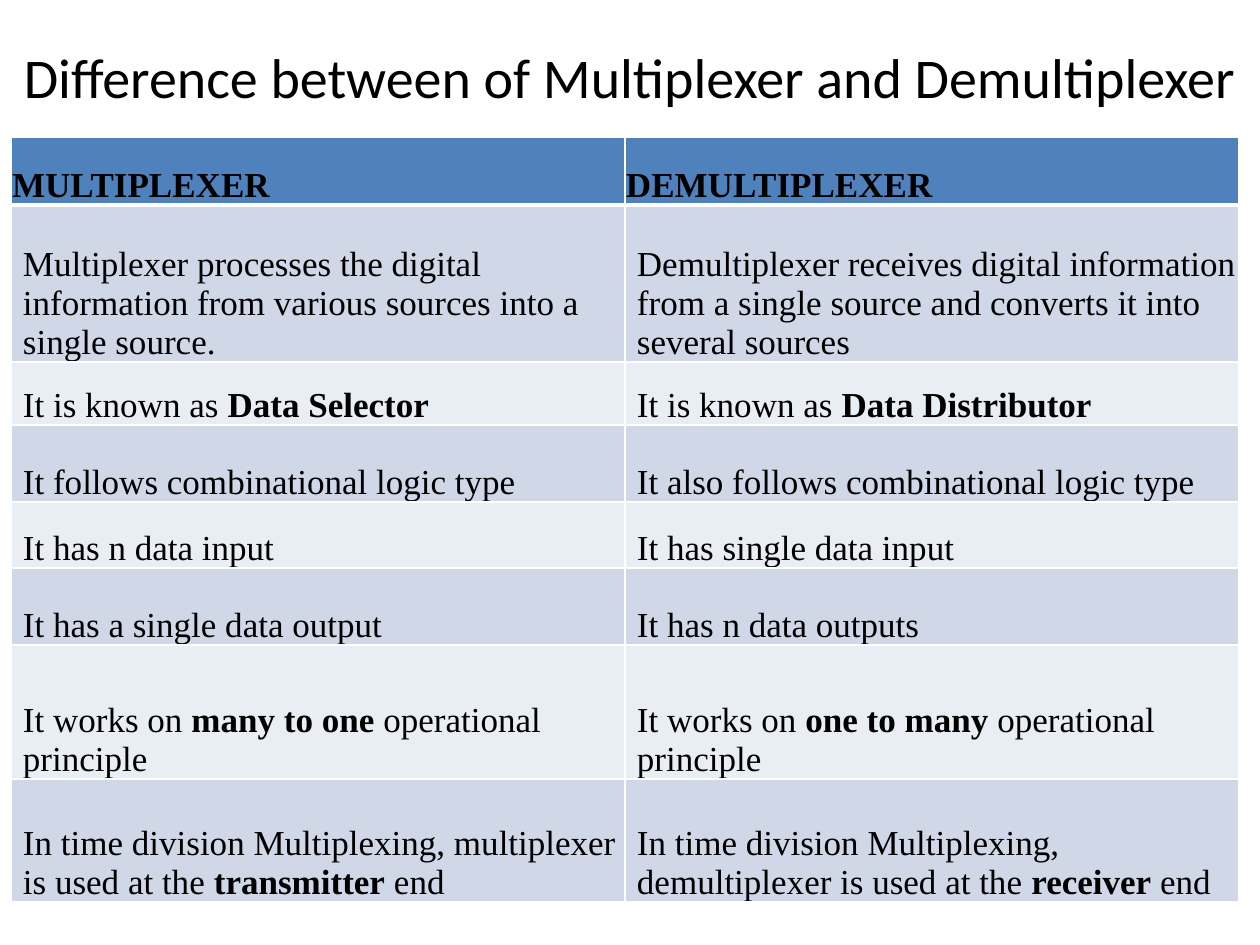
from typing import NamedTuple

from lxml.etree import SubElement
from pptx import Presentation
from pptx.dml.color import RGBColor
from pptx.enum.text import MSO_ANCHOR as Anchor, PP_ALIGN as Align
from pptx.oxml.ns import qn
from pptx.util import Emu, Pt

PIXELS_PER_INCH = 126
BLACK, WHITE = "000000", "FFFFFF"
HEADER_FILL = "4F81BD"
BAND_FILLS = ("E9EDF4", "D0D8E8")
COLUMN_WIDTH = 614


class ComparisonRow(NamedTuple):
    """One table row; double asterisks enclose bold words."""
    height: int
    multiplexer: str
    demultiplexer: str


ROWS = [
    ComparisonRow(68, "**MULTIPLEXER**", "**DEMULTIPLEXER**"),
    ComparisonRow(157, "Multiplexer processes the digital information from various sources into a single source.",
                  "Demultiplexer receives digital information from a single source and converts it into several sources"),
    ComparisonRow(63, "It is known as **Data Selector**", "It is known as **Data Distributor**"),
    ComparisonRow(77, "It follows combinational logic type", "It also follows combinational logic type"),
    ComparisonRow(66, "It has n data input", "It has single data input"),
    ComparisonRow(77, "It has a single data output", "It has n data outputs"),
    ComparisonRow(134, "It works on **many to one **operational principle",
                  "It works on **one to many **operational principle"),
    ComparisonRow(123, "In time division Multiplexing, multiplexer is used at the **transmitter** end",
                  "In time division Multiplexing, demultiplexer is used at the **receiver** end"),
]


def px(length: int) -> Emu:
    """Turn pixels into EMU."""
    return Emu(round(length * 914400 / PIXELS_PER_INCH))


def color(value: str) -> RGBColor:
    """Turn a hex string into a colour."""
    return RGBColor.from_string(value)


def write_text(paragraph, text: str, *, font: str, size: int, align=Align.LEFT) -> None:
    """Write text as runs, with bold between double asterisks."""
    paragraph.alignment = align
    for index, part in enumerate(text.split("**")):
        if part:
            run = paragraph.add_run()
            run.text = part
            run.font.name = font
            run.font.size = Pt(size)
            run.font.bold = index % 2 == 1
            run.font.color.rgb = color(BLACK)


def add_border(cell, side: str, width: int) -> None:
    """Add a white border to one side of a cell."""
    line = SubElement(cell._tc.get_or_add_tcPr(), qn(f"a:ln{side}"), w=str(Pt(width)))
    fill = SubElement(line, qn("a:solidFill"))
    SubElement(fill, qn("a:srgbClr"), val=WHITE)


def fill_cell(cell, text: str, row_index: int) -> None:
    """Format one cell for its row and write its text."""
    is_header = row_index == 0
    for side in "LRTB":
        under_header = (row_index, side) in ((0, "B"), (1, "T"))
        add_border(cell, side, 3 if under_header else 1)
    cell.fill.solid()
    cell.fill.fore_color.rgb = color(HEADER_FILL if is_header else BAND_FILLS[row_index % 2])
    cell.margin_left = px(1 if is_header else 12)
    cell.margin_top = cell.margin_right = px(1)
    cell.margin_bottom = 0
    cell.vertical_anchor = Anchor.BOTTOM
    write_text(cell.text_frame.paragraphs[0], text, font="Times New Roman", size=20)


def add_title(slide, text: str) -> None:
    """Add the centred title across the slide."""
    frame = slide.shapes.add_textbox(0, px(42), px(1260), px(68)).text_frame
    frame.word_wrap = True
    frame.margin_left = frame.margin_top = frame.margin_right = frame.margin_bottom = 0
    write_text(frame.paragraphs[0], text, font="Calibri", size=32, align=Align.CENTER)


def add_comparison(slide, rows: list[ComparisonRow]) -> None:
    """Add the two-column comparison table."""
    height = sum(row.height for row in rows)
    table = slide.shapes.add_table(len(rows), 2, px(11), px(137), px(2 * COLUMN_WIDTH), px(height)).table
    for column in table.columns:
        column.width = px(COLUMN_WIDTH)
    for row_index, row in enumerate(rows):
        table.rows[row_index].height = px(row.height)
        for column_index, text in enumerate((row.multiplexer, row.demultiplexer)):
            fill_cell(table.cell(row_index, column_index), text, row_index)


def main() -> None:
    """Build and save the slide."""
    presentation = Presentation()
    presentation.slide_width, presentation.slide_height = px(1260), px(945)
    slide = presentation.slides.add_slide(presentation.slide_layouts[6])
    add_title(slide, "Difference between of Multiplexer and Demultiplexer")
    add_comparison(slide, ROWS)
    presentation.save("out.pptx")


if __name__ == "__main__":
    main()
